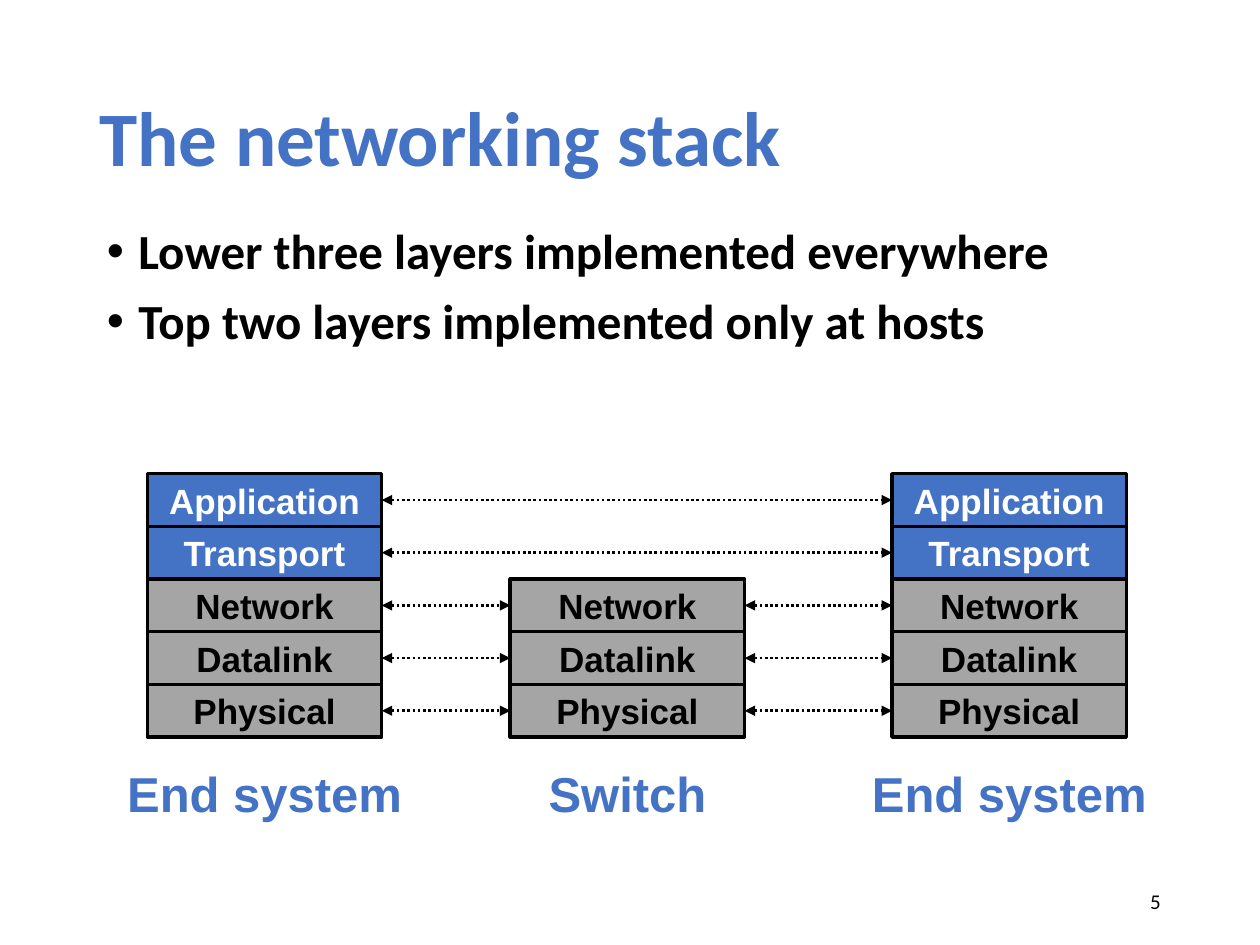
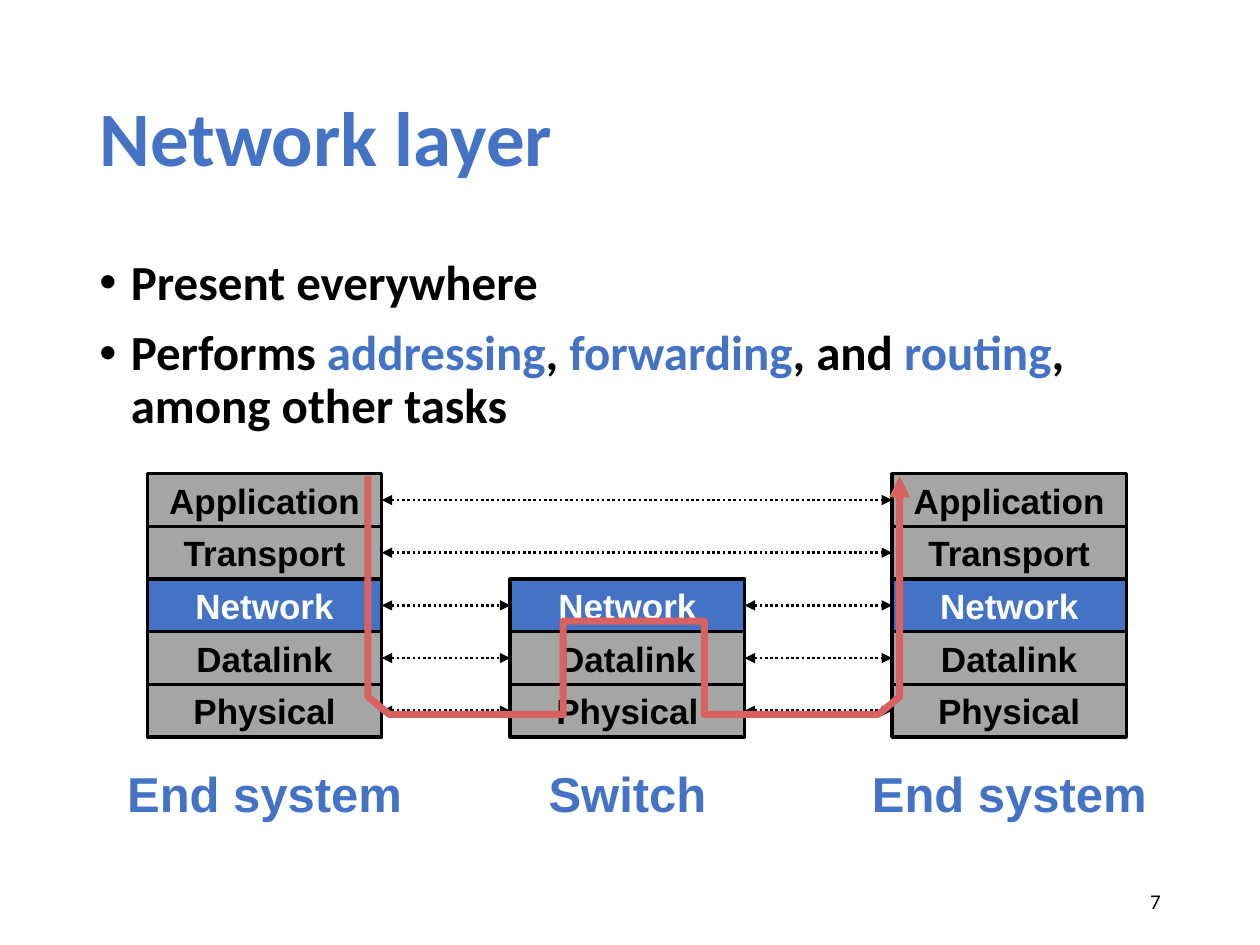
from dataclasses import dataclass
from itertools import pairwise
from typing import NamedTuple

from lxml.etree import SubElement
from pptx import Presentation
from pptx.dml.color import RGBColor
from pptx.enum.dml import MSO_LINE
from pptx.enum.shapes import MSO_CONNECTOR, MSO_SHAPE
from pptx.enum.text import MSO_ANCHOR, MSO_AUTO_SIZE, PP_ALIGN
from pptx.oxml.ns import qn
from pptx.util import Inches, Pt


@dataclass(frozen=True)
class Theme:
    accent: RGBColor = RGBColor(0x44, 0x72, 0xC4)
    muted: RGBColor = RGBColor(0xA5, 0xA5, 0xA5)
    ink: RGBColor = RGBColor(0, 0, 0)
    paper: RGBColor = RGBColor(0xFF, 0xFF, 0xFF)
    route: RGBColor = RGBColor(0xD9, 0x61, 0x5F)
    text_font: str = "Calibri"
    diagram_font: str = "Arial"
    title_size: int = 44
    bullet_size: int = 28
    caption_size: int = 28
    layer_size: int = 20
    number_size: int = 12


class Box(NamedTuple):
    """Left, top, width and height in inches."""
    left: float
    top: float
    width: float
    height: float

    def lengths(self):
        return tuple(Inches(value) for value in self)


class Phrase(NamedTuple):
    text: str
    emphasised: bool = False


class Stack(NamedTuple):
    caption: str
    left: float
    lowest_layers: int
    caption_width: float


@dataclass(frozen=True)
class LayerSlide:
    title: str
    number: int
    bullets: tuple[tuple[Phrase, ...], ...]
    bullet_box: Box
    highlighted: frozenset[str]
    shows_route: bool = False


THEME = Theme()
TITLE_BOX = Box(0.69, 0.4, 8.62, 1.45)
NUMBER_BOX = Box(7.06, 6.95, 2.25, 0.4)

LAYERS = ("Application", "Transport", "Network", "Datalink", "Physical")
STACKS = (
    Stack("End system", 1.17, 5, 2.41),
    Stack("Switch", 4.05, 3, 1.47),
    Stack("End system", 7.08, 5, 2.41),
)
STACK_TOP = 3.76
STACK_WIDTH = 1.86
LAYER_HEIGHT = 2.09 / len(LAYERS)
CAPTION_TOP = 6.01
CAPTION_HEIGHT = 0.57

ROUTE_AXIS = 5.03
ROUTE_DOWN = ((2.92, 3.78), (2.92, 5.53), (3.09, 5.67), (4.47, 5.67), (4.47, 4.93))

SLIDES = (
    LayerSlide(
        title="The networking stack",
        number=5,
        bullets=(
            (Phrase("Lower three layers implemented everywhere"),),
            (Phrase("Top two layers implemented only at hosts"),),
        ),
        bullet_box=Box(0.75, 1.75, 8.67, 1.29),
        highlighted=frozenset({"Application", "Transport"}),
    ),
    LayerSlide(
        title="Network layer",
        number=7,
        bullets=(
            (Phrase("Present everywhere"),),
            (
                Phrase("Performs "),
                Phrase("addressing", True),
                Phrase(", "),
                Phrase("forwarding", True),
                Phrase(", and "),
                Phrase("routing", True),
                Phrase(", among other tasks"),
            ),
        ),
        bullet_box=Box(0.69, 2, 8.62, 4.76),
        highlighted=frozenset({"Network"}),
        shows_route=True,
    ),
)


def style_font(font, family: str, size: int, color: RGBColor, bold: bool = True) -> None:
    font.name = family
    font.size = Pt(size)
    font.bold = bold
    font.color.rgb = color


def add_title(slide, title: str) -> None:
    heading = slide.shapes.title
    heading.left, heading.top, heading.width, heading.height = TITLE_BOX.lengths()
    frame = heading.text_frame
    frame.text = title
    frame.auto_size = MSO_AUTO_SIZE.NONE
    frame.vertical_anchor = MSO_ANCHOR.MIDDLE
    paragraph = frame.paragraphs[0]
    paragraph.alignment = PP_ALIGN.LEFT
    paragraph.line_spacing = 0.9
    style_font(paragraph.runs[0].font, THEME.text_font, THEME.title_size, THEME.accent)


def add_bullet_mark(paragraph) -> None:
    properties = paragraph._p.get_or_add_pPr()
    indent = Inches(0.25)
    properties.set("marL", str(indent))
    properties.set("indent", str(-indent))
    SubElement(properties, qn("a:buFont"), typeface="Arial")
    SubElement(properties, qn("a:buChar"), char="•")


def add_bullets(slide, content: LayerSlide) -> None:
    frame = slide.shapes.add_textbox(*content.bullet_box.lengths()).text_frame
    frame.word_wrap = True
    for index, phrases in enumerate(content.bullets):
        paragraph = frame.add_paragraph() if index else frame.paragraphs[0]
        paragraph.line_spacing = 0.9
        paragraph.space_before = Pt(10)
        add_bullet_mark(paragraph)
        for phrase in phrases:
            run = paragraph.add_run()
            run.text = phrase.text
            color = THEME.accent if phrase.emphasised else THEME.ink
            style_font(run.font, THEME.text_font, THEME.bullet_size, color)


def add_slide_number(slide, number: int) -> None:
    frame = slide.shapes.add_textbox(*NUMBER_BOX.lengths()).text_frame
    frame.word_wrap = True
    frame.vertical_anchor = MSO_ANCHOR.MIDDLE
    frame.text = str(number)
    paragraph = frame.paragraphs[0]
    paragraph.alignment = PP_ALIGN.RIGHT
    style_font(paragraph.runs[0].font, THEME.text_font, THEME.number_size, THEME.ink, bold=False)


def add_layer(slide, stack: Stack, level: int, highlighted: bool):
    box = Box(stack.left, STACK_TOP + level * LAYER_HEIGHT, STACK_WIDTH, LAYER_HEIGHT)
    layer = slide.shapes.add_shape(MSO_SHAPE.RECTANGLE, *box.lengths())
    layer.shadow.inherit = False
    layer.fill.solid()
    layer.fill.fore_color.rgb = THEME.accent if highlighted else THEME.muted
    layer.line.color.rgb = THEME.ink
    layer.line.width = Pt(2)
    frame = layer.text_frame
    frame.word_wrap = False
    frame.vertical_anchor = MSO_ANCHOR.MIDDLE
    frame.text = LAYERS[level]
    paragraph = frame.paragraphs[0]
    paragraph.alignment = PP_ALIGN.CENTER
    color = THEME.paper if highlighted else THEME.ink
    style_font(paragraph.runs[0].font, THEME.diagram_font, THEME.layer_size, color)
    return layer


def add_caption(slide, stack: Stack) -> None:
    left = stack.left + (STACK_WIDTH - stack.caption_width) / 2
    box = Box(left, CAPTION_TOP, stack.caption_width, CAPTION_HEIGHT)
    frame = slide.shapes.add_textbox(*box.lengths()).text_frame
    frame.word_wrap = False
    frame.text = stack.caption
    paragraph = frame.paragraphs[0]
    paragraph.alignment = PP_ALIGN.CENTER
    style_font(paragraph.runs[0].font, THEME.diagram_font, THEME.caption_size, THEME.accent)


def add_arrowheads(stroke, *ends: str) -> None:
    """Put triangles on the given ends, "headEnd" before "tailEnd"."""
    outline = stroke.element.spPr.find(qn("a:ln"))
    for end in ends:
        SubElement(outline, qn(f"a:{end}"), type="triangle")


def link_peers(slide, left_layer, right_layer) -> None:
    link = slide.shapes.add_connector(MSO_CONNECTOR.STRAIGHT, 0, 0, 0, 0)
    link.begin_connect(left_layer, 3)
    link.end_connect(right_layer, 1)
    link.line.color.rgb = THEME.ink
    link.line.width = Pt(1.5)
    link.line.dash_style = MSO_LINE.ROUND_DOT
    add_arrowheads(link, "headEnd", "tailEnd")
    SubElement(link.element.spPr, qn("a:effectLst"))


def add_stacks(slide, highlighted: frozenset[str]) -> None:
    """Draw the stacks and link each layer to its nearest peer on the right."""
    peers = {name: [] for name in LAYERS}
    for stack in STACKS:
        for level in range(len(LAYERS) - stack.lowest_layers, len(LAYERS)):
            name = LAYERS[level]
            peers[name].append(add_layer(slide, stack, level, name in highlighted))
        add_caption(slide, stack)
    for same_layer in peers.values():
        for left_layer, right_layer in pairwise(same_layer):
            link_peers(slide, left_layer, right_layer)


def add_route(slide) -> None:
    """Trace a packet down one host, through the switch and up the other."""
    route_up = tuple((2 * ROUTE_AXIS - x, y) for x, y in reversed(ROUTE_DOWN))
    start, *turns = [(Inches(x), Inches(y)) for x, y in ROUTE_DOWN + route_up]
    outline = slide.shapes.build_freeform(*start)
    outline.add_line_segments(turns, close=False)
    route = outline.convert_to_shape()
    route.shadow.inherit = False
    route.fill.background()
    route.line.color.rgb = THEME.route
    route.line.width = Pt(4)
    add_arrowheads(route, "tailEnd")


def add_layer_slide(deck, content: LayerSlide) -> None:
    title_only = deck.slide_layouts.get_by_name("Title Only")
    slide = deck.slides.add_slide(title_only)
    add_title(slide, content.title)
    add_bullets(slide, content)
    add_slide_number(slide, content.number)
    add_stacks(slide, content.highlighted)
    if content.shows_route:
        add_route(slide)


def main() -> None:
    deck = Presentation()
    deck.slide_width = Inches(10)
    deck.slide_height = Inches(7.5)
    for content in SLIDES:
        add_layer_slide(deck, content)
    deck.save("out.pptx")


if __name__ == "__main__":
    main()
